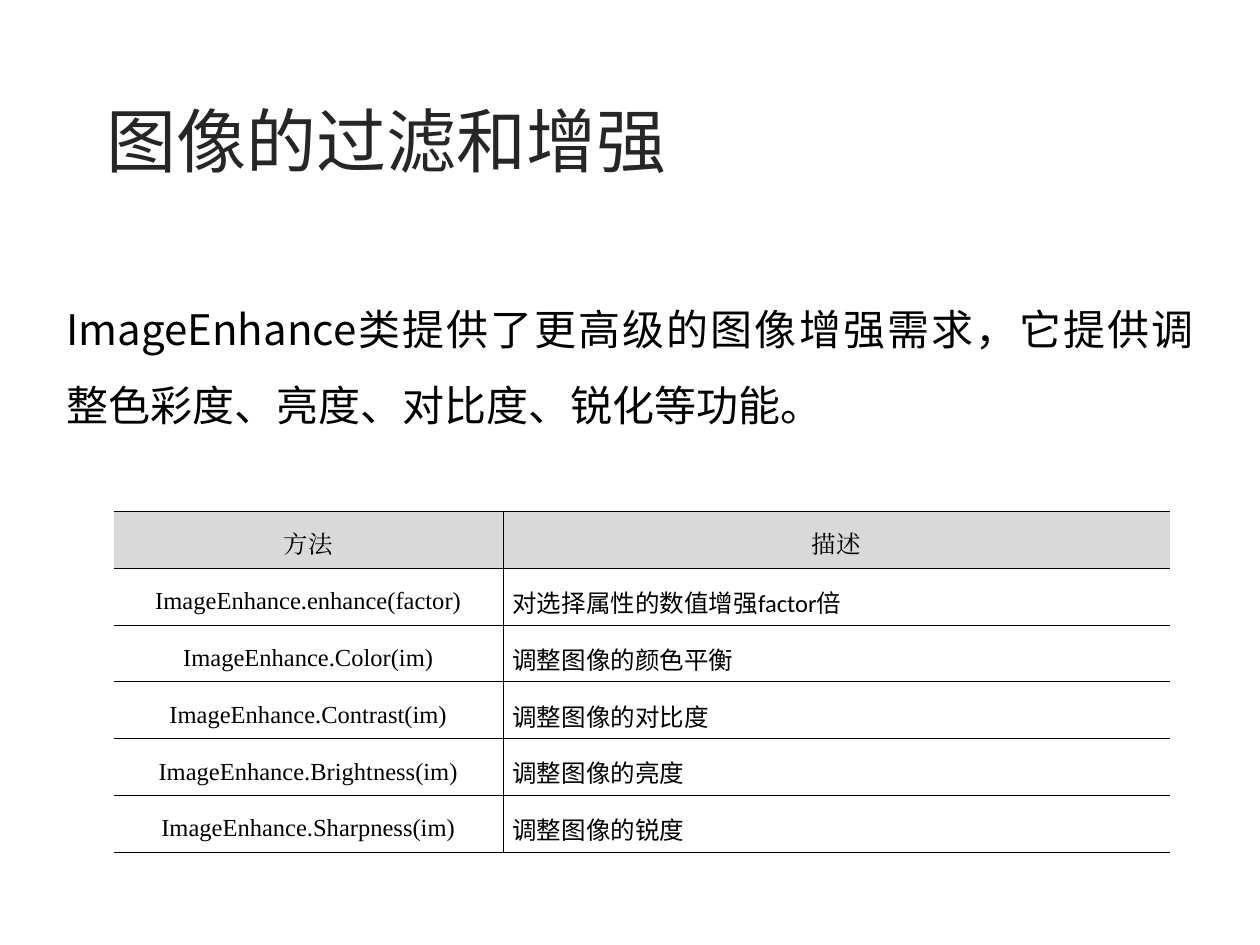
from lxml import etree
from pptx import Presentation
from pptx.dml.color import RGBColor
from pptx.enum.text import MSO_AUTO_SIZE, PP_ALIGN
from pptx.oxml.ns import qn
from pptx.util import Cm, Pt

LEFT, CENTER, JUSTIFY = PP_ALIGN.LEFT, PP_ALIGN.CENTER, PP_ALIGN.JUSTIFY
FIT_SHAPE = MSO_AUTO_SIZE.SHAPE_TO_FIT_TEXT
BLACK, CHARCOAL, GREY, WHITE = "000000", "262626", "D9D9D9", "FFFFFF"
SANS, SERIF, LATIN = "Noto Sans CJK SC", "Times New Roman", "Calibri"

METHODS = [
    ("方法", "描述"),
    ("ImageEnhance.enhance(factor)", "对选择属性的数值增强factor倍"),
    ("ImageEnhance.Color(im)", "调整图像的颜色平衡"),
    ("ImageEnhance.Contrast(im)", "调整图像的对比度"),
    ("ImageEnhance.Brightness(im)", "调整图像的亮度"),
    ("ImageEnhance.Sharpness(im)", "调整图像的锐度"),
]


def rgb(value):
    """Turn a hex string into a colour."""
    return RGBColor.from_string(value)


def apply(target, values):
    """Set each named attribute on the target."""
    for name, value in values.items():
        setattr(target, name, value)


class SlideBuilder:
    """Hold the style and the current slide, and add its elements."""

    def __init__(self, slide):
        """Keep the slide and the shared style."""
        self.slide = slide
        self.rule_width = Pt(0.45)
        self.cell_margins = {"margin_left": Cm(0.19), "margin_right": Cm(0.19)}

    def styled_run(self, frame, text, size, face, color, align, spacing):
        """Fill the first paragraph with one styled run and return it."""
        paragraph = frame.paragraphs[0]
        apply(paragraph, {"alignment": align, "line_spacing": spacing})
        run = paragraph.add_run()
        run.text = text
        apply(run.font, {"size": Pt(size), "name": face})
        run.font.color.rgb = rgb(color)
        east_asian = etree.Element(qn("a:ea"), typeface=face)
        run._r.get_or_add_rPr().find(qn("a:latin")).addnext(east_asian)
        return run

    def text(self, box, text, size, color, align=LEFT, spacing=1.0, wrap=True):
        """Add a text box and return its run."""
        frame = self.slide.shapes.add_textbox(*map(Cm, box)).text_frame
        apply(frame, {"word_wrap": wrap, "auto_size": FIT_SHAPE})
        return self.styled_run(frame, text, size, SANS, color, align, spacing)

    def text_shadow(self, run):
        """Give a run a soft drop shadow."""
        effects = etree.Element(qn("a:effectLst"))
        shadow = etree.SubElement(effects, qn("a:outerShdw"), blurRad="38100",
                                  dist="38100", dir="2700000", algn="tl")
        shade = etree.SubElement(shadow, qn("a:srgbClr"), val="C0C0C0")
        etree.SubElement(shade, qn("a:alpha"), val="43000")
        run._r.get_or_add_rPr().find(qn("a:solidFill")).addnext(effects)

    def borders(self, cell, ruled):
        """Rule the named sides of a cell and clear the others."""
        properties = cell._tc.get_or_add_tcPr()
        for side in "LRTB":
            line = etree.SubElement(properties, qn(f"a:ln{side}"), w=str(int(self.rule_width)))
            if side in ruled:
                fill = etree.SubElement(line, qn("a:solidFill"))
                etree.SubElement(fill, qn("a:srgbClr"), val=BLACK)
            else:
                etree.SubElement(line, qn("a:noFill"))

    def table(self, left, top, widths, heights, rows):
        """Add a two-column table with a grey header row."""
        table = self.slide.shapes.add_table(
            len(rows), len(widths), Cm(left), Cm(top),
            Cm(sum(widths)), Cm(sum(heights))).table
        apply(table, {"first_row": False, "horz_banding": False})
        for column, width in zip(table.columns, widths):
            column.width = Cm(width)
        for row, height in zip(table.rows, heights):
            row.height = Cm(height)
        for row_index, row in enumerate(rows):
            header = row_index == 0
            for column_index, text in enumerate(row):
                method = column_index == 0
                cell = table.cell(row_index, column_index)
                apply(cell, self.cell_margins)
                self.borders(cell, "RTB" if method else "LTB")
                cell.fill.solid()
                cell.fill.fore_color.rgb = rgb(GREY if header else WHITE)
                self.styled_run(cell.text_frame, text, 14,
                                SERIF if header or method else LATIN, BLACK,
                                CENTER if header or method else JUSTIFY, 1.5)


def main():
    """Build and save the slide."""
    deck = Presentation()
    apply(deck, {"slide_width": Cm(25.4), "slide_height": Cm(19.05)})
    builder = SlideBuilder(deck.slides.add_slide(deck.slide_layouts[6]))
    title = builder.text((1.9, 1.85, 11.79, 1.96), "图像的过滤和增强", 40, CHARCOAL, wrap=False)
    builder.text_shadow(title)
    builder.text((1.09, 5.49, 23.22, 3.3),
                 "ImageEnhance类提供了更高级的图像增强需求，它提供调整色彩度、亮度、对比度、锐化等功能。",
                 24, BLACK, JUSTIFY, 1.5)
    builder.table(2.29, 10.31, [7.85, 13.44], [0.91] + [0.89] * 5, METHODS)
    deck.save("out.pptx")


if __name__ == "__main__":
    main()
